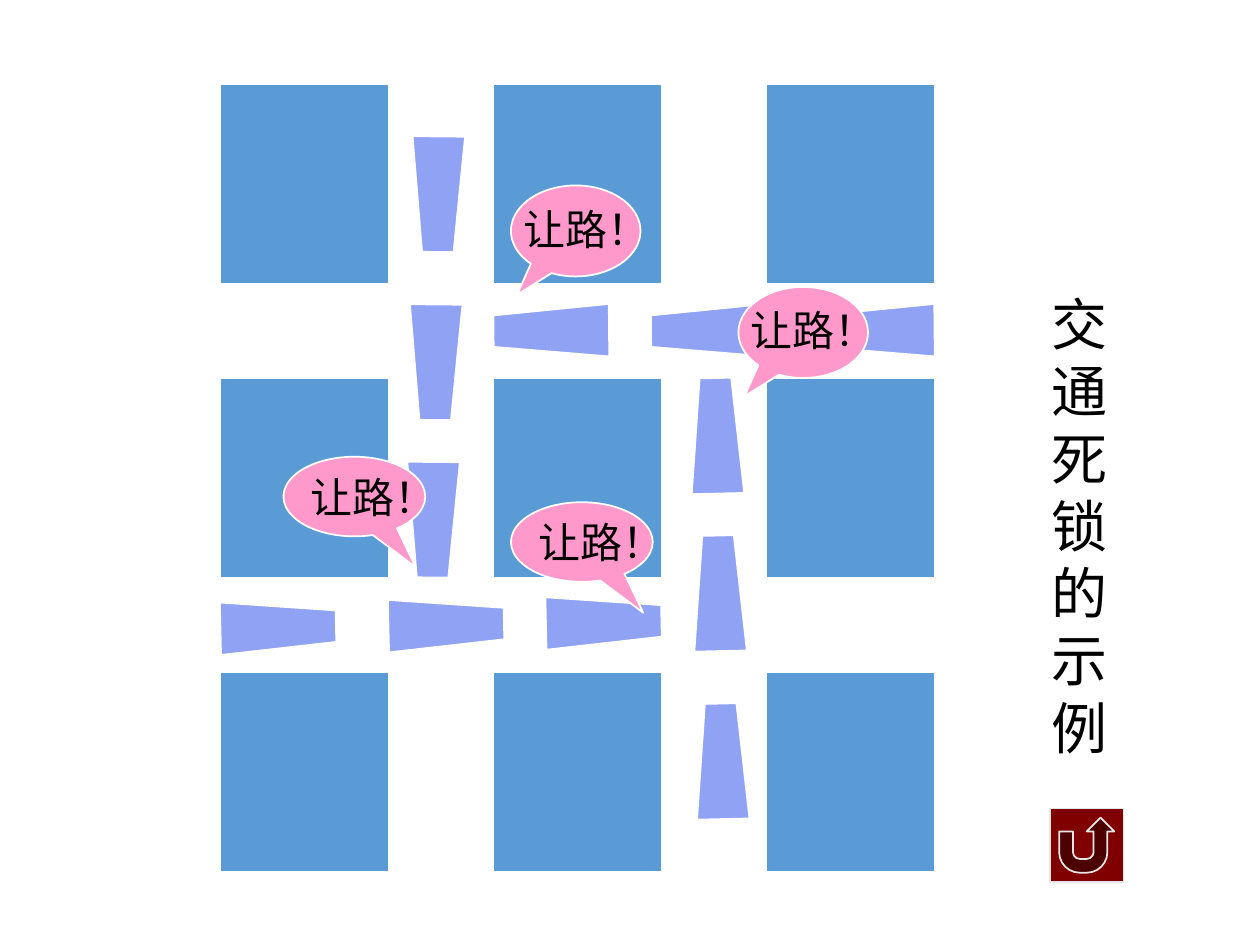
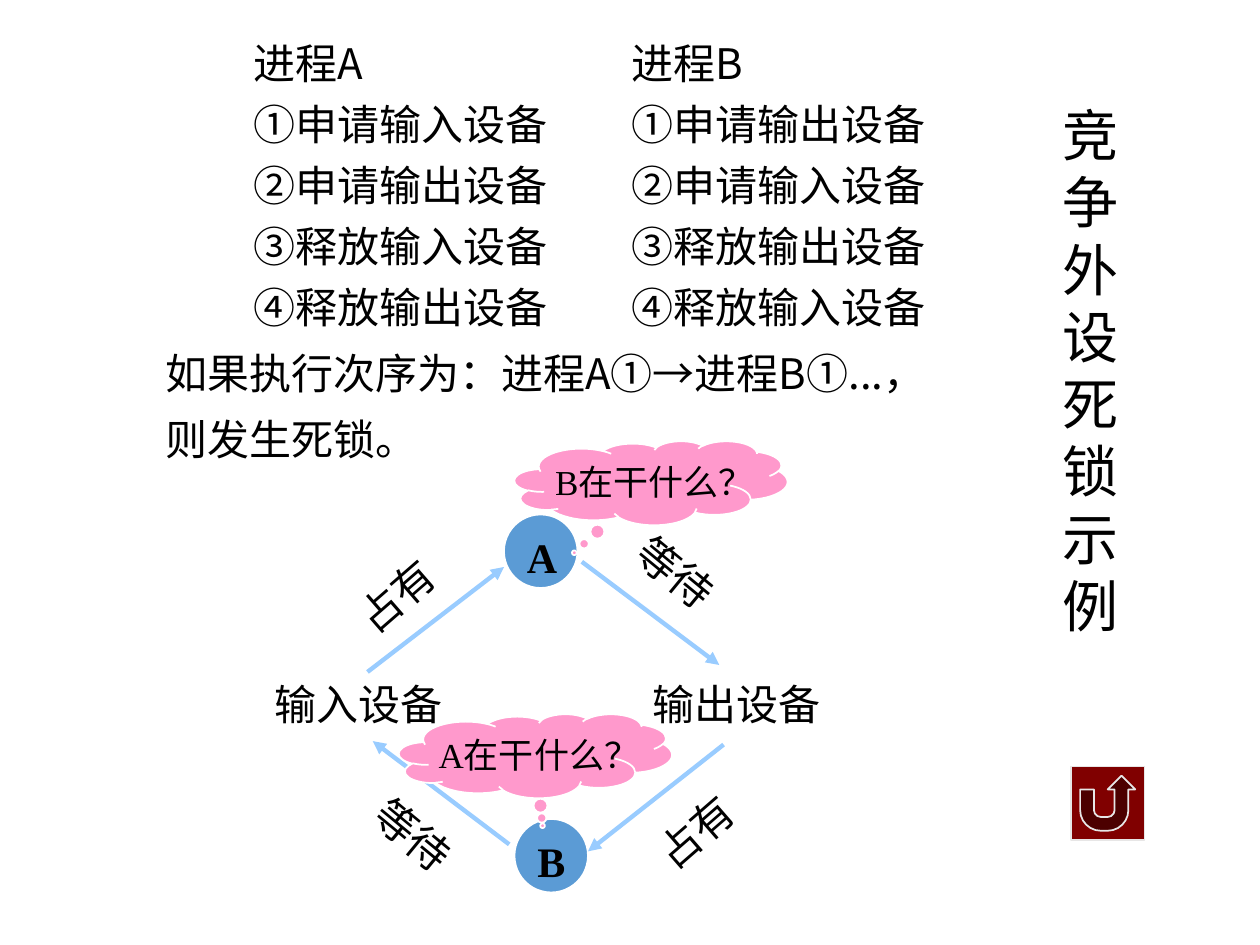
from dataclasses import dataclass

import pptx
import pptx.dml.color
import pptx.enum.shapes
import pptx.enum.text
import pptx.oxml
import pptx.oxml.ns
import pptx.util

Pt = pptx.util.Pt
SHAPE = pptx.enum.shapes.MSO_SHAPE
ALIGN = pptx.enum.text.PP_ALIGN
ANCHOR = pptx.enum.text.MSO_ANCHOR
qn = pptx.oxml.ns.qn


@dataclass(frozen=True)
class Theme:
    serif: str = "Times New Roman"
    sans: str = "Noto Sans CJK SC"
    ink: str = "000000"
    block: str = "5B9BD5"
    car: str = "8FA2F3"
    bubble: str = "FF99CC"
    arrow: str = "99CCFF"
    button: str = "800000"
    button_edge: str = "E7E6E6"
    outline: str = "FFFFFF"
    title: int = 32
    body: int = 24
    thought: int = 20


THEME = Theme()


def rgb(value):
    return pptx.dml.color.RGBColor.from_string(value)


def sub_element(parent, tag, **attrs):
    el = parent.makeelement(qn(tag), attrs)
    parent.append(el)
    return el


def add_run(p, text, size=THEME.body, font=THEME.serif, bold=False):
    r = p.add_run()
    r.text = text
    for name, value in {"name": font, "size": Pt(size), "bold": bold}.items():
        setattr(r.font, name, value)
    r.font.color.rgb = rgb(THEME.ink)
    sub_element(r.font._element, "a:ea", typeface=THEME.sans)


def add_text(s, box, text, rotation=0, **fmt):
    sp = s.shapes.add_textbox(*map(Pt, box))
    sp.rotation = rotation
    sp.text_frame.word_wrap = True
    add_run(sp.text_frame.paragraphs[0], text, **fmt)


def add_shape(s, kind, box, fill, line=THEME.outline, rotation=0, adjust=()):
    sp = s.shapes.add_shape(kind, *map(Pt, box))
    sp.shadow.inherit = False
    sp.rotation = rotation
    sp.fill.solid()
    sp.fill.fore_color.rgb = rgb(fill)
    sp.line.color.rgb = rgb(line)
    sp.line.width = Pt(1)
    for i, value in enumerate(adjust):
        sp.adjustments[i] = value
    return sp


def add_bubble(s, kind, box, adjust, text, shift, size):
    """Callout with one unwrapped line, pushed right by a wider left inset."""
    sp = add_shape(s, kind, box, THEME.bubble, adjust=adjust)
    tf = sp.text_frame
    frame = {"word_wrap": False, "vertical_anchor": ANCHOR.MIDDLE,
             "margin_left": Pt(7.2 + shift)}
    for name, value in frame.items():
        setattr(tf, name, value)
    tf.paragraphs[0].alignment = ALIGN.CENTER
    add_run(tf.paragraphs[0], text, size=size)


def add_arrow(s, start, end):
    line = s.shapes.add_connector(pptx.enum.shapes.MSO_CONNECTOR.STRAIGHT,
                                  *map(Pt, start + end))
    line.line.color.rgb = rgb(THEME.arrow)
    line.line.width = Pt(2.5)
    sub_element(line.line._get_or_add_ln(), "a:tailEnd", type="triangle")
    sub_element(line._element.spPr, "a:effectLst")


def side_title(s, box, text):
    """Title one character wide, so that it runs down the slide."""
    add_text(s, box, text, size=THEME.title)


def return_button(s, left, top):
    add_shape(s, SHAPE.ACTION_BUTTON_RETURN, (left, top, 42, 42),
              THEME.button, THEME.button_edge)


def city_blocks(s, left, top):
    for row in range(3):
        for col in range(3):
            add_shape(s, SHAPE.RECTANGLE,
                      (left + 156 * col, top + 168 * row, 96, 114), THEME.block)


def traffic(s, left, top):
    # first car x, y; distances along the lane; sideways drift; horizontal; rotation
    lanes = [
        (18, 277.5, (0, 96, 186), -1.5, True, 268.7),
        (109.5, 30, (0, 96, 186), -1.5, False, 0.5),
        (174, 108, (0, 90, 186), 0, True, 89.5),
        (268.5, 168, (0, 90, 186), 1.5, False, 178.7),
    ]
    for x, y, steps, drift, horizontal, rotation in lanes:
        for i, step in enumerate(steps):
            dx, dy = (step, drift * i) if horizontal else (drift * i, step)
            add_shape(s, SHAPE.FLOWCHART_MANUAL_OPERATION,
                      (left + x + dx, top + y + dy, 30, 66), THEME.car,
                      rotation=rotation)


def shouts(s, left, top):
    text = "让路！"
    for x, y in [(166, 58), (296, 116)]:
        add_shape(s, SHAPE.OVAL_CALLOUT, (left + x, top + y, 74, 52),
                  THEME.bubble, adjust=(-0.453, 0.701))
        add_text(s, (left + x, top + y + 6.5, 68, 36), text)
    for x, y in [(166, 239), (36, 213)]:
        add_bubble(s, SHAPE.OVAL_CALLOUT, (left + x, top + y, 81, 45.5),
                   (0.433, 0.887), text, 22, THEME.body)


def process_steps(s, box):
    rows = [
        ("进程A", "进程B"),
        ("①申请输入设备", "①申请输出设备"),
        ("②申请输出设备", "②申请输入设备"),
        ("③释放输入设备", "③释放输出设备"),
        ("④释放输出设备", "④释放输入设备"),
    ]
    conclusion = ["如果执行次序为：进程A①→进程B①...，", "则发生死锁。"]
    tf = s.shapes.add_textbox(*map(Pt, box)).text_frame
    tf.word_wrap = True
    lines = [f"\t{a}\t{b}" for a, b in rows] + conclusion
    for i, text in enumerate(lines):
        p = tf.paragraphs[0] if i == 0 else tf.add_paragraph()
        p.space_after = Pt(3)
        if i:
            p.space_before = Pt(3 if i < len(rows) else 6)
        pPr = p._p.get_or_add_pPr()
        if i < len(rows):
            tabs = sub_element(pPr, "a:tabLst")
            for stop in (72, 288):
                sub_element(tabs, "a:tab", pos=str(Pt(stop)), algn="l")
        else:
            pPr.set("marL", str(Pt(21.5)))
            pPr.set("indent", "0")
        add_run(p, text, font=THEME.sans)


def wait_cycle(s, left, top):
    """Two processes and two devices joined in a ring of hold and wait arrows."""
    def at(x, y):
        return left + x, top + y

    for name, x, y in [("B", 144, 216), ("A", 138, 42)]:
        add_shape(s, SHAPE.OVAL, (*at(x, y), 42, 42), THEME.block)
        add_text(s, (*at(x + 6, y + 6), 30, 36), name, bold=True)
    for name, x in [("输入设备", 0), ("输出设备", 216)]:
        add_text(s, (*at(x, 132), 120, 36), name)

    relations = {"占有": (66, 319), "等待": (72, 39.5)}
    arrows = [
        ("占有", (60, 132), (138, 72), (45, 69)),
        ("占有", (263.5, 173.5), (186, 234.5), (216, 204)),
        ("等待", (182.5, 69), (261, 128), (204, 60)),
        ("等待", (141, 230.5), (63, 171.5), (54, 210)),
    ]
    for relation, start, end, label in arrows:
        width, rotation = relations[relation]
        add_arrow(s, at(*start), at(*end))
        add_text(s, (*at(*label), width, 36), relation, rotation)

    for text, x, y, tip in [("A在干什么？", 78, 156, 0.026),
                            ("B在干什么？", 144, 0, -0.281)]:
        add_bubble(s, SHAPE.CLOUD_CALLOUT, (*at(x, y), 156, 48),
                   (tip, 0.831), text, 15, THEME.thought)


def traffic_slide(s):
    left, top = 126, 48
    city_blocks(s, left, top)
    traffic(s, left, top)
    side_title(s, (594, 162, 48, 276), "交通死锁的示例")
    return_button(s, 600, 462)
    shouts(s, left, top)


def device_slide(s):
    process_steps(s, (66, 18, 606, 251))
    wait_cycle(s, 150, 252)
    side_title(s, (600, 54, 54, 315), "竞争外设死锁示例")
    return_button(s, 612, 438)


def main():
    prs = pptx.Presentation()
    prs.slide_width, prs.slide_height = Pt(720), Pt(540)
    for build in (traffic_slide, device_slide):
        build(prs.slides.add_slide(prs.slide_layouts[6]))
    prs.save("out.pptx")


if __name__ == "__main__":
    main()
